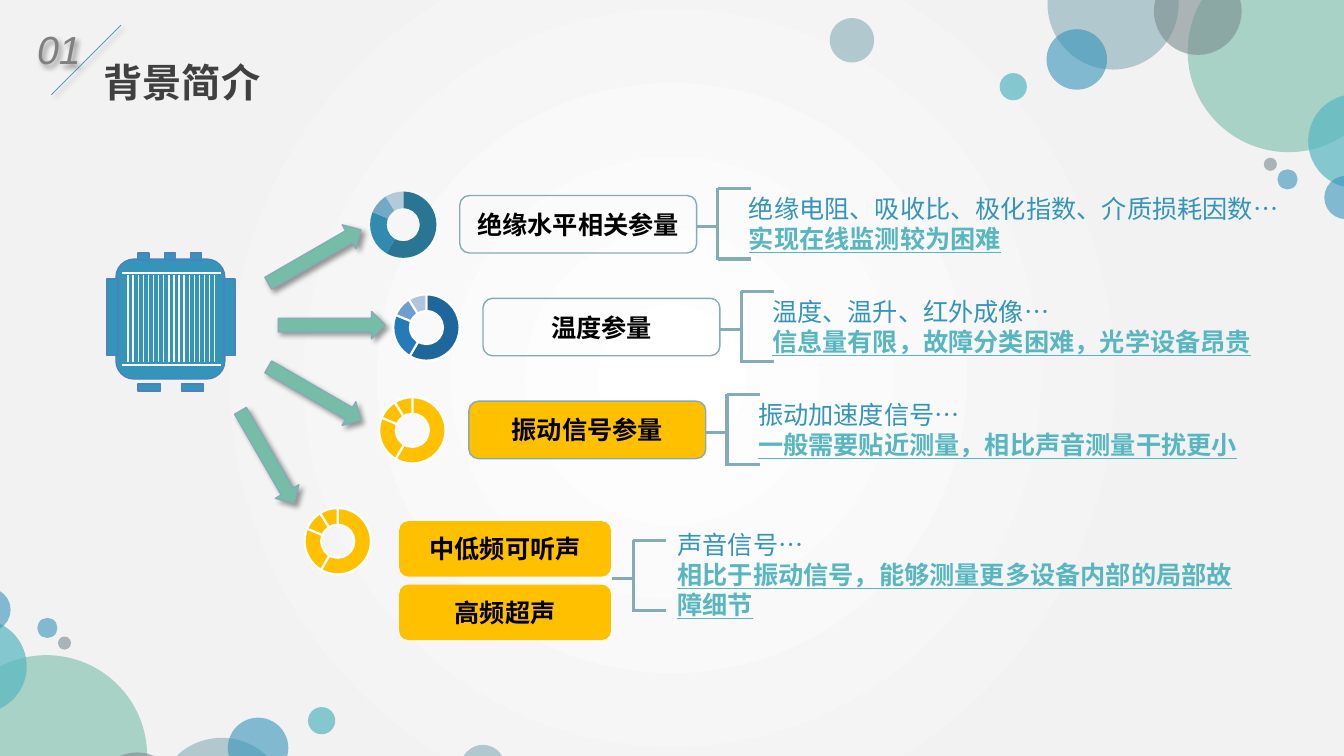
"""Build the background slide on transformer monitoring quantities."""
import pptx
import pptx.chart.data
import pptx.dml.color
import pptx.enum.chart
import pptx.enum.shapes
import pptx.enum.text
import pptx.oxml
import pptx.oxml.ns
import pptx.util

C = {"blue": "3494BA", "teal": "58B6C0", "green": "75BDA7", "mist": "84ACB6",
     "grey": "7A8C8E", "edge": "4E81BC", "gold": "FFC000", "white": "FFFFFF",
     "black": "000000", "title": "404040", "number": "808080", "paper": "F2F2F2"}
W, H = 13.33, 7.5
FONT = "Cabin"
TITLE, NUMBER = "背景简介", "01"
ROWS = [
    ("绝缘水平相关参量", 4.56, None, ["297593", "318BAE", "74A9C6", "B2CADA"], None,
     "绝缘电阻、吸收比、极化指数、介质损耗因数…", "实现在线监测较为困难", 5.53),
    ("温度参量", 4.79, None, ["1E679C", "247BB9", "709DCF", "B0C4E0"], "white",
     "温度、温升、红外成像…", "信息量有限，故障分类困难，光学设备昂贵", 5.07),
    ("振动信号参量", 4.65, "gold", [C["gold"]] * 4, "white",
     "振动加速度信号…", "一般需要贴近测量，相比声音测量干扰更小", 5.91),
]
SOUND_LABELS = ["中低频可听声", "高频超声"]
SOUND_TEXT = ("声音信号…", "相比于振动信号，能够测量更多设备内部的局部故障细节")
RING_VALUES = {"1": 59, "2": 23, "3": 10, "4": 9}
BUBBLES = [
    (11.04, 0.04, 1.3, "mist", 60), (12.78, 0.51, 2, "green", 60),
    (11.88, 0.11, 0.87, "grey", 60), (10.68, 0.59, 0.6, "blue", 60),
    (13.44, 1.4, 0.93, "teal", 70), (10.05, 0.86, 0.27, "teal", 70),
    (13.35, 1.96, 0.43, "blue", 60), (12.77, 1.78, 0.2, "blue", 60),
    (12.6, 1.63, 0.13, "grey", 60), (8.45, 0.4, 0.44, "mist", 60),
]
MIRROR = (13.24, 8.01)
ARROWS = [(2.59, 2.41, 330), (2.76, 3.09, 0), (2.59, 3.77, 30), (2.12, 4.4, 60)]
ROW_TOP, ROW_STEP = 1.75, 1.02
A = 'xmlns:a="http://schemas.openxmlformats.org/drawingml/2006/main"'
SHADOW = (f'<a:effectLst {A}><a:outerShdw blurRad="50800" dist="38100" dir="2700000" '
          'algn="tl" rotWithShape="0"><a:srgbClr val="000000"><a:alpha val="40000"/>'
          '</a:srgbClr></a:outerShdw></a:effectLst>')
SHAPE = pptx.enum.shapes.MSO_SHAPE
IN, PT = pptx.util.Inches, pptx.util.Pt
qn = pptx.oxml.ns.qn

prs = pptx.Presentation()
prs.slide_width, prs.slide_height = IN(W), IN(H)
s = prs.slides.add_slide(prs.slide_layouts[6])


def rgb(name):
    return pptx.dml.color.RGBColor.from_string(C.get(name, name))


def add_shadow(sp):
    sp._element.spPr.append(pptx.oxml.parse_xml(SHADOW))


def paint_background():
    fill = s.background.fill
    fill.solid()
    old = s._element.find(".//" + qn("a:solidFill"))
    stops = "".join(f'<a:gs pos="{pos}000"><a:srgbClr val="{C[c]}"/></a:gs>'
                    for pos, c in ((0, "white"), (67, "paper"), (100, "paper")))
    old.getparent().replace(old, pptx.oxml.parse_xml(
        f'<a:gradFill {A} rotWithShape="1"><a:gsLst>{stops}</a:gsLst><a:path path="circle">'
        '<a:fillToRect l="50000" t="50000" r="50000" b="50000"/></a:path></a:gradFill>'))


def shape(kind, x, y, w, h, fill=None, line=None, alpha=None, shadow=False):
    sp = s.shapes.add_shape(kind, IN(x), IN(y), IN(w), IN(h))
    if fill:
        sp.fill.solid()
        sp.fill.fore_color.rgb = rgb(fill)
    else:
        sp.fill.background()
    if line:
        sp.line.color.rgb = rgb(line)
        sp.line.width = PT(1)
    else:
        sp.line.fill.background()
    if alpha:
        color = sp._element.spPr.find(".//" + qn("a:srgbClr"))
        color.append(pptx.oxml.parse_xml(f'<a:alpha {A} val="{alpha}000"/>'))
    if shadow:
        add_shadow(sp)
    else:
        sp.shadow.inherit = False
    return sp


def line(x1, y1, x2, y2, color, width, shadow=False):
    ln = s.shapes.add_connector(pptx.enum.shapes.MSO_CONNECTOR.STRAIGHT,
                                IN(x1), IN(y1), IN(x2), IN(y2))
    ln.line.color.rgb = rgb(color)
    ln.line.width = PT(width)
    if shadow:
        add_shadow(ln)
    else:
        ln._element.spPr.append(pptx.oxml.parse_xml(f"<a:effectLst {A}/>"))


def add_run(p, text, size, color, bold=False, italic=False, underline=False, font=FONT):
    r = p.add_run()
    r.text = text
    f = r.font
    f.name, f.size, f.bold, f.italic, f.underline = font, PT(size), bold, italic, underline
    f.color.rgb = rgb(color)


def textbox(x, y, w, h):
    tb = s.shapes.add_textbox(IN(x), IN(y), IN(w), IN(h))
    tb.text_frame.word_wrap = True
    return tb


def label(text, x, y, w, h, fill, edge):
    tf = shape(SHAPE.ROUNDED_RECTANGLE, x, y, w, h, fill, edge).text_frame
    tf.word_wrap = True
    tf.vertical_anchor = pptx.enum.text.MSO_ANCHOR.MIDDLE
    tf.paragraphs[0].alignment = pptx.enum.text.PP_ALIGN.CENTER
    add_run(tf.paragraphs[0], text, 18, "black", bold=True)


def remark(plain, stressed, x, y, w, h):
    tf = textbox(x, y, w, h).text_frame
    add_run(tf.paragraphs[0], plain, 18, "blue")
    add_run(tf.add_paragraph(), stressed, 18, "teal", bold=True, underline=True)


def bracket(x, y):
    for x1, y1, x2, y2 in ((0, 0.71, 0, 0), (0, 0.38, -0.21, 0.38),
                           (0, 0.7, 0.33, 0.7), (0, 0, 0.33, 0)):
        line(x + x1, y + y1, x + x2, y + y2, "mist", 2.25)


def ring(x, y, colors, gap):
    data = pptx.chart.data.CategoryChartData()
    data.categories = list(RING_VALUES)
    data.add_series("Series 1", list(RING_VALUES.values()))
    chart = s.shapes.add_chart(pptx.enum.chart.XL_CHART_TYPE.DOUGHNUT,
                               IN(x), IN(y), IN(0.94), IN(0.96), data).chart
    chart.has_legend = chart.has_title = False
    chart.font.name, chart.font.size = FONT, PT(10)
    chart.font.color.rgb = rgb("black")
    plot = chart.plots[0]
    plot.vary_by_categories = True
    plot._element.find(qn("c:holeSize")).set("val", "43")
    for i, color in enumerate(colors):
        fmt = plot.series[0].points[i].format
        fmt.fill.solid()
        fmt.fill.fore_color.rgb = rgb(color)
        if gap:
            fmt.line.color.rgb = rgb(gap)
            fmt.line.width = PT(1.5)
        else:
            fmt.line.fill.background()
    area = chart._chartSpace.find(".//" + qn("c:plotArea"))
    for old in area.findall(qn("c:layout")):
        area.remove(old)
    spots = "".join(f'<c:{k} val="{v}"/>' for k, v in (
        ("layoutTarget", "inner"), ("xMode", "edge"), ("yMode", "edge"),
        ("x", 0.15), ("y", 0.15), ("w", 0.7), ("h", 0.7)))
    area.insert(0, pptx.oxml.parse_xml(
        '<c:layout xmlns:c="http://schemas.openxmlformats.org/drawingml/2006/chart">'
        f"<c:manualLayout>{spots}</c:manualLayout></c:layout>"))


def transformer():
    shape(SHAPE.ROUNDED_RECTANGLE, 1.15, 2.57, 1.08, 1.19, "blue", "edge")
    bushings = [(1.37 + 0.26 * i, 2.51, 0.11, 0.07) for i in range(3)]
    feet = [(x, 3.81, 0.22, 0.07) for x in (1.37, 1.8)]
    sides = [(x, 2.77, 0.11, 0.76) for x in (1.06, 2.22)]
    for box in bushings + feet + sides:
        shape(SHAPE.RECTANGLE, *box, "blue", "edge")
    for i in range(18):
        x = 1.27 + 0.86 / 17 * i
        line(x, 2.73, x, 3.59, "white", 1)
    for y in (2.71, 3.62):
        line(2.19, y, 1.21, y, "white", 1)


paint_background()
for mirrored in (False, True):
    for cx, cy, d, color, alpha in BUBBLES:
        if mirrored:
            cx, cy = MIRROR[0] - cx, MIRROR[1] - cy
        shape(SHAPE.OVAL, cx - d / 2, cy - d / 2, d, d, color, alpha=alpha)

for text, box, size, color, style in (
        (TITLE, (0.93, 0.39, 2.09, 0.75), 28, "title", {"bold": True}),
        (NUMBER, (0.27, 0.06, 0.78, 0.65), 28, "number", {"italic": True, "font": "Arial"})):
    tb = textbox(*box)
    tb.text_frame.paragraphs[0].line_spacing = 1.3
    add_run(tb.text_frame.paragraphs[0], text, size, color, **style)
add_shadow(tb)
line(1.2, 0.25, 0.51, 0.94, "blue", 0.5, shadow=True)

transformer()
for x, y, angle in ARROWS:
    shape(SHAPE.RIGHT_ARROW, x, y, 1.06, 0.27, "green", "mist", shadow=True).rotation = angle

for i, (name, x, fill, colors, gap, plain, stressed, width) in enumerate(ROWS):
    y = ROW_TOP + ROW_STEP * i
    ring(x - 1.03, y, colors, gap)
    label(name, x, y + 0.19, 2.35, 0.57, fill, "mist")
    bracket(x + 2.56, y + 0.12)
    remark(plain, stressed, x + 2.77, y + 0.12, width, 0.71)

ring(2.88, 4.89, [C["gold"]] * 4, "white")
for i, name in enumerate(SOUND_LABELS):
    label(name, 3.96, 5.17 + 0.63 * i, 2.1, 0.55, "gold", None)
bracket(6.28, 5.36)
remark(*SOUND_TEXT, 6.62, 5.2, 5.91, 1.01)

prs.save("out.pptx")
